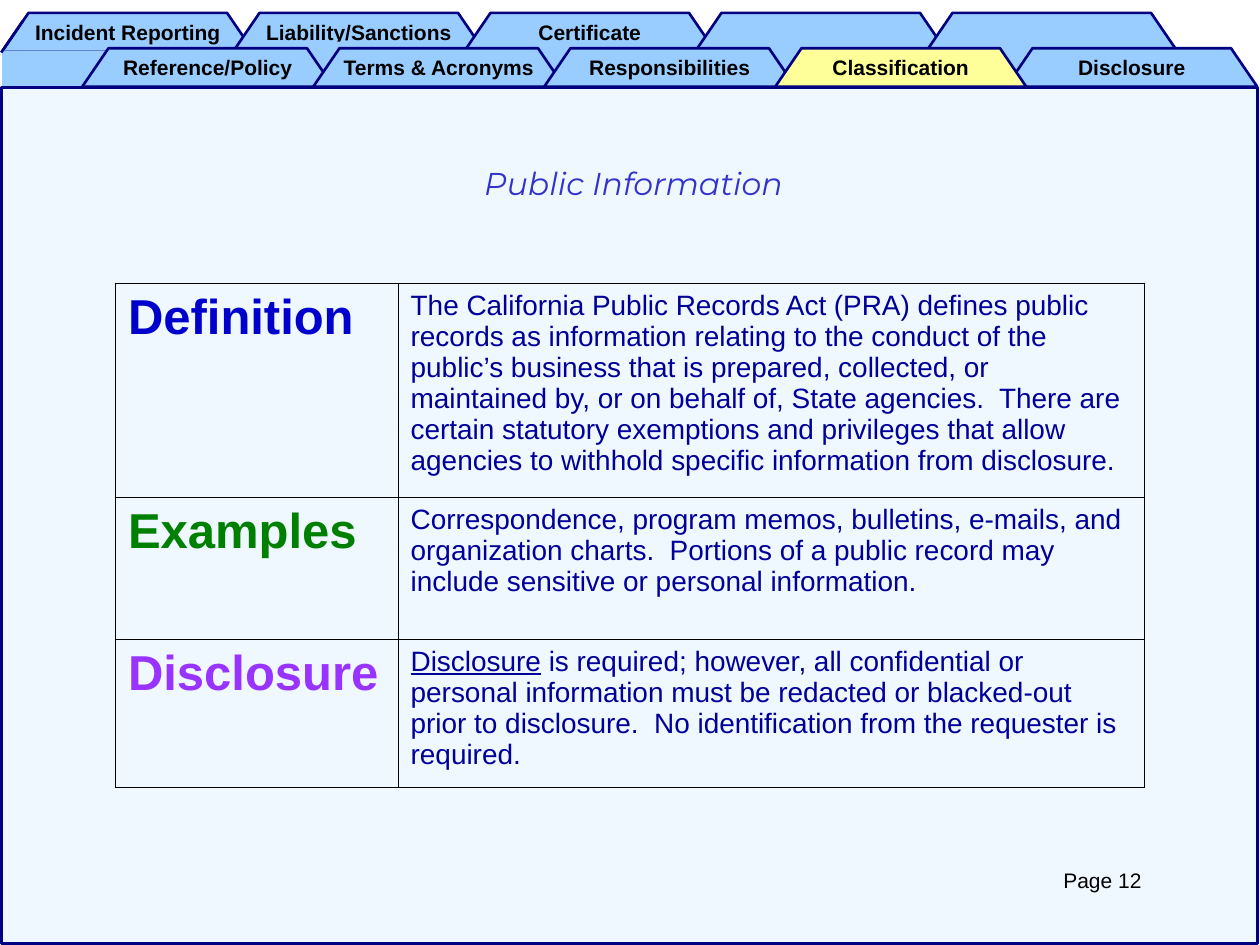
from lxml import etree
from pptx import Presentation
from pptx.dml.color import RGBColor
from pptx.enum.shapes import MSO_CONNECTOR, MSO_SHAPE
from pptx.enum.text import MSO_ANCHOR, PP_ALIGN
from pptx.oxml.ns import qn
from pptx.util import Pt

RECTANGLE = MSO_SHAPE.RECTANGLE
STRAIGHT = MSO_CONNECTOR.STRAIGHT
CENTER = PP_ALIGN.CENTER
LEFT = PP_ALIGN.LEFT
MIDDLE = MSO_ANCHOR.MIDDLE
TOP = MSO_ANCHOR.TOP

BLACK = RGBColor(0x00, 0x00, 0x00)
NAVY = RGBColor(0x00, 0x00, 0x80)
SKY = RGBColor(0x99, 0xCC, 0xFF)
YELLOW = RGBColor(0xFF, 0xFF, 0x99)
TITLE_BLUE = RGBColor(0x33, 0x33, 0xCC)
BODY_BLUE = RGBColor(0x00, 0x00, 0x99)
HEAD_BLUE = RGBColor(0x00, 0x00, 0xCC)
GREEN = RGBColor(0x00, 0x80, 0x00)
PURPLE = RGBColor(0x99, 0x33, 0xFF)

TAB_FONT = {"name": "Arial", "size": Pt(12), "bold": True}
TITLE_FONT = {"name": "Montserrat", "size": Pt(18), "italic": True}
PAGE_FONT = {"name": "Arial", "size": Pt(12)}
HEAD_FONT = {"name": "Arial", "size": Pt(28), "bold": True}
BODY_FONT = {"name": "Arial", "size": Pt(16), "bold": False}
UNDERLINED = {**BODY_FONT, "underline": True}

TAB_WIDTH, TAB_HEIGHT, TAB_SLOPE, TAB_STEP = 143.5, 22, 15, 132
BACK_LEFT, BACK_TOP = 1.3, 7.4
FRONT_LEFT, FRONT_TOP = 47, 27.6
BACK_TABS = ["Incident Reporting", "Liability/Sanctions", "Certificate", "", ""]
BACK_PATCHES = [
    (1.3, 28.8, 119, 21.6),
    (156, 23.8, 60, 18),
    (288, 27.4, 60, 18),
    (425, 26, 54, 18),
    (558, 27.4, 54, 18),
]
FRONT_TABS = ["Reference/Policy", "Terms & Acronyms", "Responsibilities",
              "Classification", "Disclosure"]
FRONT_ORDER = [0, 1, 4, 2, 3]
ACTIVE_TAB = "Classification"

COLUMN_WIDTHS = [161.5, 426.5]
ROW_HEIGHTS = [122.5, 81, 84.5]
OUTER_BORDER, INNER_BORDER = 1.08, 0.45
ROWS = [
    ("Definition", HEAD_BLUE, [(
        "The California Public Records Act (PRA) defines public records as "
        "information relating to the conduct of the public’s business that is "
        "prepared, collected, or maintained by, or on behalf of, State agencies.  "
        "There are certain statutory exemptions and privileges that allow agencies "
        "to withhold specific information from disclosure.", BODY_FONT)]),
    ("Examples", GREEN, [(
        "Correspondence, program memos, bulletins, e-mails, and organization "
        "charts.  Portions of a public record may include sensitive or personal "
        "information.", BODY_FONT)]),
    ("Disclosure", PURPLE, [
        ("Disclosure", UNDERLINED),
        (" is required; however, all confidential or personal information must be "
         "redacted or blacked-out prior to disclosure.  No identification from the "
         "requester is required.", BODY_FONT)]),
]


def write_text(frame, spans, color, align=LEFT, anchor=TOP, wrap=True):
    frame.word_wrap = wrap
    frame.vertical_anchor = anchor
    para = frame.paragraphs[0]
    para.alignment = align
    for text, font_format in spans:
        span = para.add_run()
        span.text = text
        span.font.color.rgb = color
        for name, value in font_format.items():
            setattr(span.font, name, value)


def style_shape(shape, fill=None, line=None):
    shape.shadow.inherit = False
    if fill is None:
        shape.fill.background()
    else:
        shape.fill.solid()
        shape.fill.fore_color.rgb = fill
    if line is None:
        shape.line.fill.background()
    else:
        shape.line.color.rgb = line
        shape.line.width = Pt(1.5)


def add_rectangle(page, bounds, fill=None, line=None):
    shape = page.shapes.add_shape(RECTANGLE, *map(Pt, bounds))
    style_shape(shape, fill, line)
    return shape


def add_tab(page, left, top, label):
    right, bottom = left + TAB_WIDTH, top + TAB_HEIGHT
    builder = page.shapes.build_freeform(Pt(left), Pt(bottom))
    corners = [(left + TAB_SLOPE, top), (right - TAB_SLOPE, top), (right, bottom)]
    builder.add_line_segments([(Pt(x), Pt(y)) for x, y in corners], close=True)
    tab = builder.convert_to_shape()
    style_shape(tab, YELLOW if label == ACTIVE_TAB else SKY, NAVY)
    if label:
        write_text(tab.text_frame, [(label, TAB_FONT)], BLACK, CENTER, MIDDLE, False)


def add_edge(page, start, end):
    edge = page.shapes.add_connector(STRAIGHT, *map(Pt, start + end))
    edge.line.color.rgb = NAVY
    edge.line.width = Pt(1.5)
    etree.SubElement(edge._element.spPr, qn("a:effectLst"))


def add_panel(page):
    panel = add_rectangle(page, (0, 48.5, 720, 491.5), SKY)
    color = panel._element.spPr.find(qn("a:solidFill"))[0]
    etree.SubElement(color, qn("a:alpha"), val="15000")


def add_text(page, bounds, text, font_format, color, wrap):
    box = page.shapes.add_textbox(*map(Pt, bounds))
    write_text(box.text_frame, [(text, font_format)], color, CENTER, TOP, wrap)


def set_borders(cell, widths):
    properties = cell._tc.get_or_add_tcPr()
    for side, width in widths.items():
        border = etree.SubElement(properties, qn(f"a:ln{side}"), w=str(Pt(width)))
        fill = etree.SubElement(border, qn("a:solidFill"))
        etree.SubElement(fill, qn("a:srgbClr"), val=str(BLACK))


def add_records_table(page):
    size = sum(COLUMN_WIDTHS), sum(ROW_HEIGHTS)
    frame = page.shapes.add_table(len(ROWS), 2, Pt(66), Pt(162), *map(Pt, size))
    table = frame.table
    table.first_row = table.horz_banding = False
    for column, width in zip(table.columns, COLUMN_WIDTHS):
        column.width = Pt(width)
    last = len(ROWS) - 1
    for index, (heading, color, spans) in enumerate(ROWS):
        table.rows[index].height = Pt(ROW_HEIGHTS[index])
        contents = [([(heading, HEAD_FONT)], color), (spans, BODY_BLUE)]
        for position, (cell_spans, cell_color) in enumerate(contents):
            cell = table.cell(index, position)
            outer = {"L": position == 0, "R": position == 1,
                     "T": index == 0, "B": index == last}
            set_borders(cell, {side: OUTER_BORDER if edge else INNER_BORDER
                               for side, edge in outer.items()})
            cell.fill.background()
            write_text(cell.text_frame, cell_spans, cell_color)


def main():
    deck = Presentation()
    deck.slide_width, deck.slide_height = Pt(720), Pt(540)
    page = deck.slides.add_slide(deck.slide_layouts[6])

    for index, (label, patch) in enumerate(zip(BACK_TABS, BACK_PATCHES)):
        add_tab(page, BACK_LEFT + index * TAB_STEP, BACK_TOP, label)
        add_rectangle(page, patch, SKY)
        if index == 0:
            add_edge(page, (0.7, 30), (13, 12))
    add_panel(page)
    add_rectangle(page, (0.7, 50, 718, 489), line=NAVY)
    for index in FRONT_ORDER:
        add_tab(page, FRONT_LEFT + index * TAB_STEP, FRONT_TOP, FRONT_TABS[index])

    add_text(page, (114, 90, 496, 42), "Public Information", TITLE_FONT, TITLE_BLUE, False)
    add_records_table(page)
    add_text(page, (558, 492, 144, 21.6), "Page 12", PAGE_FONT, BLACK, True)
    deck.save("out.pptx")


if __name__ == "__main__":
    main()
